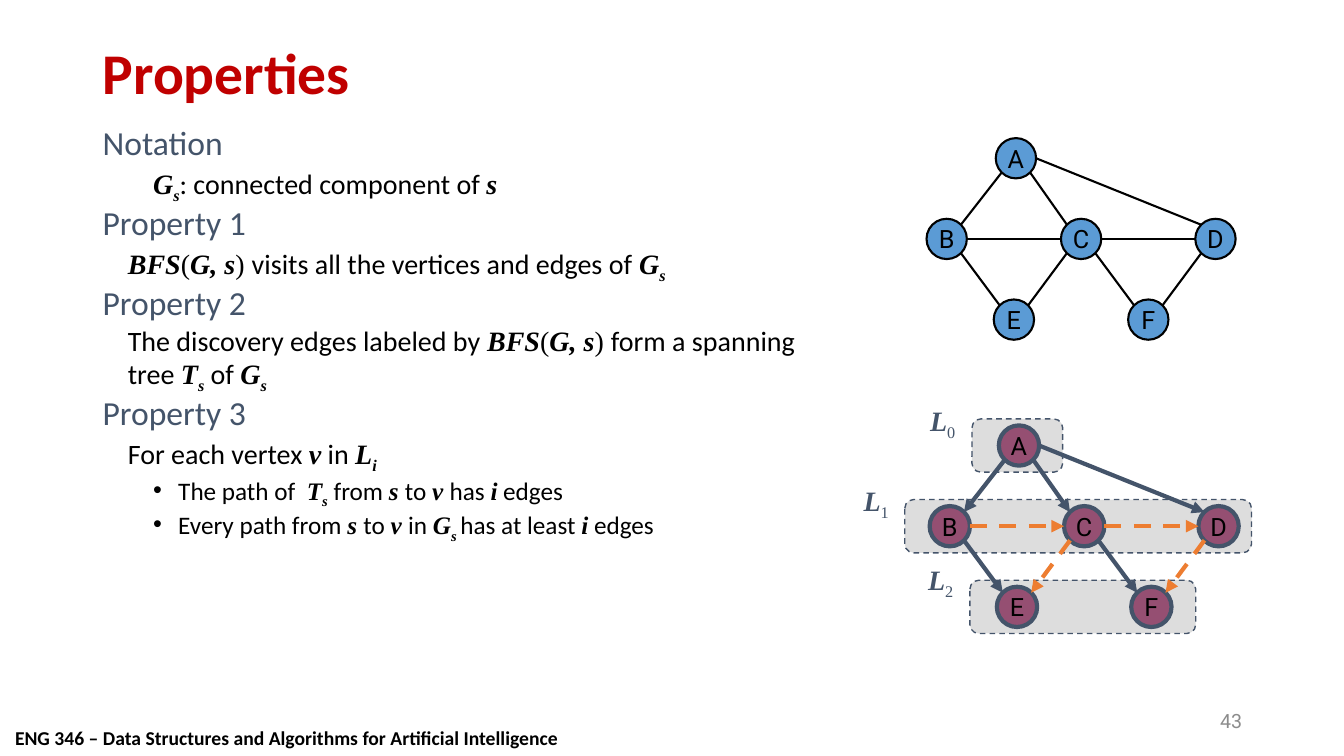
from lxml.etree import SubElement
from pptx import Presentation
from pptx.dml.color import RGBColor
from pptx.enum.dml import MSO_LINE
from pptx.enum.shapes import MSO_CONNECTOR, MSO_SHAPE
from pptx.enum.text import MSO_ANCHOR, PP_ALIGN
from pptx.oxml.ns import qn
from pptx.util import Inches, Pt

SLIDE_WIDTH, SLIDE_HEIGHT = Inches(13.33), Inches(7.5)
COLORS = {
    "title": "C00000", "slate": "44546A", "ink": "000000", "number": "8C8C8C",
    "zone": "DDDDDD", "visited": "954F72", "vertex": "5B9BD5", "cross": "ED7D31",
}
STYLES = {
    "text": {"name": "Calibri", "bold": False, "italic": False},
    "strong": {"name": "Calibri", "bold": True, "italic": False},
    "math": {"name": "Times New Roman", "bold": True, "italic": True},
    "sub": {"name": "Times New Roman", "bold": True, "italic": True},
    "upright": {"name": "Times New Roman", "bold": False, "italic": False},
    "index": {"name": "Times New Roman", "bold": False, "italic": False},
    "label": {"name": "Roboto", "bold": False, "italic": False},
}
LEVELS = {
    "heading": {"size": 24, "color": "slate", "before": 3.6, "margin": 0.25, "indent": -0.25},
    "notation": {"size": 20, "color": "ink", "before": 3, "margin": 0.75, "indent": -0.25},
    "statement": {"size": 20, "color": "ink", "before": 3, "margin": 0.25, "indent": 0},
    "bullet": {"size": 18, "color": "ink", "before": 2.7, "margin": 0.75, "indent": -0.25},
}
BFS_CALL = [("math", "BFS"), ("upright", "("), ("math", "G, s"), ("upright", ") ")]
COMPONENT = [("math", "G"), ("sub", "s")]
TREE = [("math", "T"), ("sub", "s")]
PROPERTIES = [
    ("heading", [("text", "Notation")]),
    ("notation", [*COMPONENT, ("text", ": connected component of "), ("math", "s")]),
    ("heading", [("text", "Property 1")]),
    ("statement", [*BFS_CALL, ("text", "visits all the vertices and edges of "), *COMPONENT]),
    ("heading", [("text", "Property 2")]),
    ("statement", [("text", "The discovery edges labeled by "), *BFS_CALL,
                   ("text", "form a spanning tree "), *TREE, ("text", " of "), *COMPONENT]),
    ("heading", [("text", "Property 3")]),
    ("statement", [("text", "For each vertex "), ("math", "v"), ("text", " in "),
                   ("math", "L"), ("sub", "i")]),
    ("bullet", [("text", "The path of  "), *TREE, ("text", " from "), ("math", "s "),
                ("text", "to "), ("math", "v "), ("text", "has "), ("math", "i"),
                ("text", " edges")]),
    ("bullet", [("text", "Every path from "), ("math", "s "), ("text", "to "), ("math", "v "),
                ("text", "in "), ("math", "G"), ("sub", "s "), ("text", "has at least "),
                ("math", "i"), ("text", " edges")]),
]
NODE_WIDTH, NODE_HEIGHT = 3, 5.33
VERTICES = {"A": (1.03, 0), "B": (0, 1), "C": (2, 1), "D": (4, 1), "E": (1, 2), "F": (3, 2)}
SIDES = {"left": (0, 0.5), "right": (1, 0.5), "upper left": (0.15, 0.15),
         "upper right": (0.85, 0.15), "lower left": (0.15, 0.85), "lower right": (0.85, 0.85)}
EDGES = [
    ("A", "lower left", "B", "upper right", "discovery"),
    ("A", "lower right", "C", "upper left", "discovery"),
    ("A", "right", "D", "upper left", "discovery"),
    ("B", "lower right", "E", "upper left", "discovery"),
    ("C", "lower right", "F", "upper left", "discovery"),
    ("B", "right", "C", "left", "cross"),
    ("C", "right", "D", "left", "cross"),
    ("C", "lower left", "E", "upper right", "cross"),
    ("D", "lower left", "F", "upper right", "cross"),
]
ZONES = [(0.63, 1.35, -0.19), (-0.37, 5.16, -1.18), (0.6, 3.36, -0.22)]


def apply(target, formats):
    for attribute, value in formats.items():
        setattr(target, attribute, value)


def rgb(color):
    return RGBColor.from_string(COLORS[color])


def place(left, top, *extent):
    shares = (left, top, *extent)
    sizes = (SLIDE_WIDTH, SLIDE_HEIGHT) * 2
    return [round(share * size / 100) for share, size in zip(shares, sizes)]


def write(paragraph, pieces, size, color):
    for style, words in pieces:
        run = paragraph.add_run()
        run.text = words
        apply(run.font, {**STYLES[style], "size": Pt(size)})
        run.font.color.rgb = rgb(color)
        if style in ("sub", "index"):
            run._r.get_or_add_rPr().set("baseline", "-25000")


def add_text(slide, box, pieces, size, color, frame_formats, paragraph_formats):
    frame = slide.shapes.add_textbox(*place(*box)).text_frame
    apply(frame, {"word_wrap": True, **frame_formats})
    apply(frame.paragraphs[0], paragraph_formats)
    write(frame.paragraphs[0], pieces, size, color)


def add_properties(slide, box):
    frame = slide.shapes.add_textbox(*place(*box)).text_frame
    frame.word_wrap = True
    for position, (level, pieces) in enumerate(PROPERTIES):
        paragraph = frame.add_paragraph() if position else frame.paragraphs[0]
        look = LEVELS[level]
        apply(paragraph, {"line_spacing": 0.9, "space_before": Pt(look["before"] if position else 0)})
        layout = paragraph._p.get_or_add_pPr()
        layout.set("marL", str(Inches(look["margin"])))
        layout.set("indent", str(Inches(look["indent"])))
        if level == "bullet":
            SubElement(layout, qn("a:buFont"), typeface="Arial")
            SubElement(layout, qn("a:buChar"), char="•")
        write(paragraph, pieces, look["size"], look["color"])


def add_outlined(slide, preset, box, fill, line, line_formats):
    outlined = slide.shapes.add_shape(preset, *place(*box))
    outlined.shadow.inherit = False
    outlined.fill.solid()
    outlined.fill.fore_color.rgb = rgb(fill)
    outlined.line.color.rgb = rgb(line)
    apply(outlined.line, line_formats)
    return outlined


def add_edge(slide, start, end, color, line_formats, arrow):
    edge = slide.shapes.add_connector(MSO_CONNECTOR.STRAIGHT, *place(*start), *place(*end))
    edge.line.color.rgb = rgb(color)
    apply(edge.line, line_formats)
    if arrow:
        SubElement(edge.line._get_or_add_ln(), qn("a:tailEnd"), type="triangle")
    SubElement(edge._element.spPr, qn("a:effectLst"))


def add_graph(slide, box, fill, line, weight, traversed):
    left, top, width, height = box
    column, row = (width - NODE_WIDTH) / 4, (height - NODE_HEIGHT) / 2
    corners = {name: (left + x * column, top + y * row) for name, (x, y) in VERTICES.items()}

    def anchor(vertex, side):
        x, y = corners[vertex]
        return x + SIDES[side][0] * NODE_WIDTH, y + SIDES[side][1] * NODE_HEIGHT

    for name, corner in corners.items():
        node = add_outlined(slide, MSO_SHAPE.OVAL, (*corner, NODE_WIDTH, NODE_HEIGHT),
                            fill, line, {"width": Pt(weight)})
        apply(node.text_frame, {"word_wrap": False, "vertical_anchor": MSO_ANCHOR.MIDDLE})
        paragraph = node.text_frame.paragraphs[0]
        paragraph.alignment = PP_ALIGN.CENTER
        write(paragraph, [("label", name)], 18, "ink")
    for origin, origin_side, target, target_side, kind in EDGES:
        crossing = traversed and kind == "cross"
        formats = {"width": Pt(weight)}
        if crossing:
            formats["dash_style"] = MSO_LINE.DASH
        add_edge(slide, anchor(origin, origin_side), anchor(target, target_side),
                 "cross" if crossing else line, formats, traversed)


def add_levels(slide, box):
    left, top, width, height = box
    column, row = (width - NODE_WIDTH) / 4, (height - NODE_HEIGHT) / 2
    for level, (zone_x, zone_width, label_x) in enumerate(ZONES):
        zone = (left + zone_x * column, top + (level - 0.08) * row, zone_width * column, 0.66 * row)
        add_outlined(slide, MSO_SHAPE.ROUNDED_RECTANGLE, zone, "zone", "slate",
                     {"width": Pt(1), "dash_style": MSO_LINE.DASH})
        label = (left + label_x * column, top + (level * 0.985 - 0.33) * row, 0.77 * column, 0.6 * row)
        add_text(slide, label, [("math", "L"), ("index", str(level))], 20, "slate",
                 {}, {"alignment": PP_ALIGN.CENTER})


def add_traversal(slide, box):
    add_levels(slide, box)
    add_graph(slide, box, "visited", "slate", 3, True)


def main():
    presentation = Presentation()
    apply(presentation, {"slide_width": SLIDE_WIDTH, "slide_height": SLIDE_HEIGHT})
    slide = presentation.slides.add_slide(presentation.slide_layouts[6])
    middle = {"vertical_anchor": MSO_ANCHOR.MIDDLE}
    course = "ENG 346 – Data Structures and Algorithms for Artificial Intelligence"
    add_text(slide, (0.38, 95.33, 42.24, 4.4), [("strong", course)], 14, "ink",
             {"word_wrap": False}, {})
    add_text(slide, (6.9, 5.33, 86.27, 9.33), [("strong", "Properties")], 41.1, "title",
             middle, {"line_spacing": 0.9})
    add_properties(slide, (6.9, 16.13, 53.41, 73.87))
    add_text(slide, (70.67, 92.67, 22.5, 5.33), [("label", "43")], 14, "number",
             middle, {"alignment": PP_ALIGN.RIGHT})
    add_traversal(slide, (69.17, 56.27, 23, 26.67))
    add_graph(slide, (68.94, 18.27, 23, 26.67), "vertex", "ink", 1.5, False)
    presentation.save("out.pptx")


if __name__ == "__main__":
    main()
